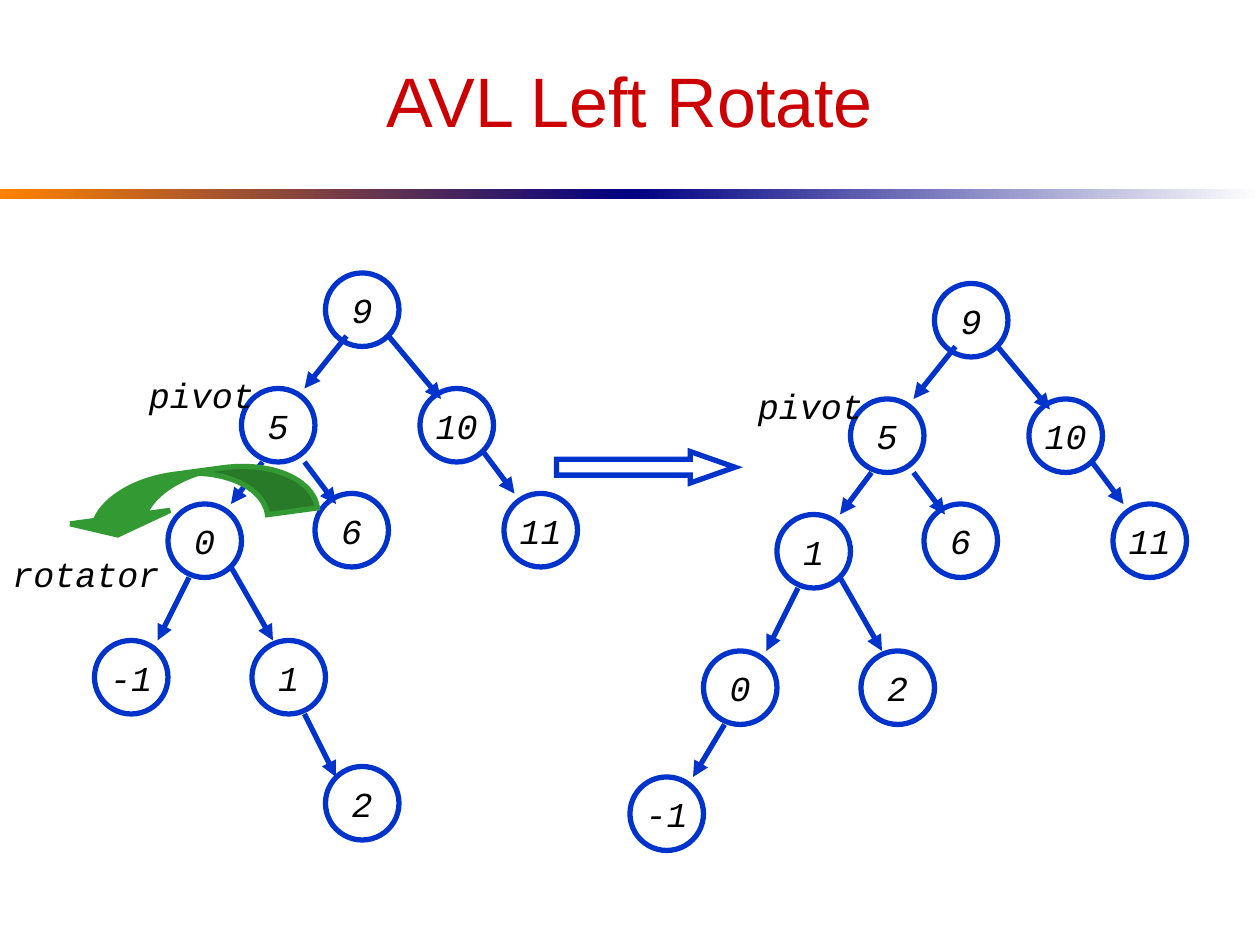
from dataclasses import dataclass

from pptx import Presentation
from pptx.dml.color import RGBColor as Rgb
from pptx.enum.shapes import MSO_CONNECTOR as Connector, MSO_SHAPE as Preset
from pptx.enum.text import MSO_ANCHOR as Anchor, MSO_AUTO_SIZE as AutoSize, PP_ALIGN as Align
from pptx.oxml.ns import qn
from pptx.shapes.autoshape import Shape
from pptx.shapes.shapetree import SlideShapes
from pptx.text.text import TextFrame
from pptx.util import Cm, Length, Pt

UNIT_CM = 2.54 / 12
NODE_SIZE = 7


@dataclass(frozen=True)
class Theme:
    title: Rgb = Rgb(0xCC, 0x00, 0x00)
    ink: Rgb = Rgb(0x00, 0x00, 0x00)
    paper: Rgb = Rgb(0xFF, 0xFF, 0xFF)
    blue: Rgb = Rgb(0x00, 0x33, 0xCC)
    green: Rgb = Rgb(0x33, 0x99, 0x33)
    orange: Rgb = Rgb(0xFF, 0x82, 0x00)
    navy: Rgb = Rgb(0x00, 0x00, 0x82)
    title_font: str = "Arial"
    node_font: str = "Courier New"
    title_size: Length = Pt(40)
    node_size: Length = Pt(20)
    stroke: Length = Pt(3)


@dataclass(frozen=True)
class Node:
    value: str
    left: float
    top: float


@dataclass(frozen=True)
class Edge:
    start: tuple[float, float]
    end: tuple[float, float]


@dataclass(frozen=True)
class Tree:
    origin: tuple[float, float]
    subtree: tuple[str, str, str]
    leaf: Node
    leaf_edge: Edge


THEME = Theme()

SHARED_NODES = (
    Node("9", 31, 26),
    Node("5", 23, 37),
    Node("10", 40, 37),
    Node("11", 48, 47),
    Node("6", 30, 47),
)
SUBTREE_SPOTS = ((16, 48), (9, 61), (24, 61))
SHARED_EDGES = (
    Edge((33, 32), (29, 37)),
    Edge((37, 32), (42, 38)),
    Edge((46, 43), (49, 47)),
    Edge((25, 44), (22, 48)),
    Edge((29, 44), (32, 48)),
    Edge((18, 55), (15, 61)),
    Edge((22, 54), (26, 61)),
)
TREES = (
    Tree((0, 0), ("0", "-1", "1"), Node("2", 31, 73), Edge((29, 68), (32, 74))),
    Tree((58, 1), ("1", "0", "2"), Node("-1", 2, 73), Edge((11, 68), (8, 73))),
)


def grid(units: float) -> Length:
    return Cm(units * UNIT_CM)


def write(frame: TextFrame, text: str, font: str, size: Length, color: Rgb,
          align: Align, italic: bool) -> None:
    para = frame.paragraphs[0]
    para.alignment = align
    span = para.add_run()
    span.text = text
    span.font.name = font
    span.font.size = size
    span.font.italic = italic
    span.font.color.rgb = color


def add_preset(shapes: SlideShapes, preset: Preset, left: float, top: float,
               width: float, height: float) -> Shape:
    box = shapes.add_shape(preset, grid(left), grid(top), grid(width), grid(height))
    box.shadow.inherit = False
    return box


def paint(box: Shape, fill: Rgb, line: Rgb) -> None:
    box.fill.solid()
    box.fill.fore_color.rgb = fill
    box.line.color.rgb = line
    box.line.width = THEME.stroke
    outline = box.element.spPr.find(qn("a:ln"))
    outline.append(outline.makeelement(qn("a:miter"), {"lim": "800000"}))


def add_band(shapes: SlideShapes, left: float, start: Rgb, end: Rgb) -> None:
    band = add_preset(shapes, Preset.RECTANGLE, left, 18, 60, 1)
    band.line.fill.background()
    band.fill.gradient()
    band.fill.gradient_angle = 0
    for stop, color in zip(band.fill.gradient_stops, (start, end)):
        stop.color.rgb = color


def add_title(shapes: SlideShapes, text: str) -> None:
    frame = shapes.add_textbox(grid(6), grid(3), grid(108), grid(13)).text_frame
    frame.word_wrap = True
    frame.vertical_anchor = Anchor.MIDDLE
    write(frame, text, THEME.title_font, THEME.title_size, THEME.title, Align.CENTER, False)


def add_label(shapes: SlideShapes, text: str, left: float, top: float, width: Length) -> None:
    frame = shapes.add_textbox(grid(left), grid(top), width, Cm(1.11)).text_frame
    frame.word_wrap = False
    frame.auto_size = AutoSize.SHAPE_TO_FIT_TEXT
    write(frame, text, THEME.node_font, THEME.node_size, THEME.ink, Align.LEFT, True)


def add_node(shapes: SlideShapes, node: Node, origin: tuple[float, float]) -> None:
    circle = add_preset(shapes, Preset.OVAL, origin[0] + node.left, origin[1] + node.top,
                        NODE_SIZE, NODE_SIZE)
    paint(circle, THEME.paper, THEME.blue)
    frame = circle.text_frame
    frame.word_wrap = False
    frame.vertical_anchor = Anchor.MIDDLE
    write(frame, node.value, THEME.node_font, THEME.node_size, THEME.ink, Align.CENTER, True)


def add_edge(shapes: SlideShapes, edge: Edge, origin: tuple[float, float]) -> None:
    ends = [grid(shift + place) for point in (edge.start, edge.end)
            for shift, place in zip(origin, point)]
    arrow = shapes.add_connector(Connector.STRAIGHT, *ends)
    arrow.line.color.rgb = THEME.blue
    arrow.line.width = THEME.stroke
    properties = arrow.element.spPr
    outline = properties.find(qn("a:ln"))
    outline.append(outline.makeelement(qn("a:tailEnd"), {"type": "triangle"}))
    properties.append(properties.makeelement(qn("a:effectLst"), {}))


def add_tree(shapes: SlideShapes, tree: Tree) -> None:
    subtree = [Node(value, *spot) for value, spot in zip(tree.subtree, SUBTREE_SPOTS)]
    for node in (*SHARED_NODES, *subtree, tree.leaf):
        add_node(shapes, node, tree.origin)
    for edge in (*SHARED_EDGES, tree.leaf_edge):
        add_edge(shapes, edge, tree.origin)
    add_label(shapes, "pivot", tree.origin[0] + 13, tree.origin[1] + 35, Cm(2.7))


def add_step_arrow(shapes: SlideShapes) -> None:
    arrow = add_preset(shapes, Preset.RIGHT_ARROW, 53, 43, 17, 3)
    arrow.adjustments[0] = 0.5
    arrow.adjustments[1] = 1.42
    paint(arrow, THEME.paper, THEME.blue)


def add_rotation_arrow(shapes: SlideShapes) -> None:
    arrow = add_preset(shapes, Preset.CURVED_UP_ARROW, 6, 45, 24, 5)
    for index, value in enumerate((0.96, 1.92, 0.33)):
        arrow.adjustments[index] = value
    arrow.rotation = 172.3
    paint(arrow, THEME.green, THEME.green)


def main() -> None:
    deck = Presentation()
    deck.slide_width = Cm(25.4)
    deck.slide_height = Cm(19.05)
    page = deck.slides.add_slide(deck.slide_layouts[6])
    shapes = page.shapes
    add_band(shapes, 0, THEME.orange, THEME.navy)
    add_band(shapes, 60, THEME.navy, THEME.paper)
    add_title(shapes, "AVL Left Rotate")
    for tree in TREES:
        add_tree(shapes, tree)
    add_label(shapes, "rotator", 0, 52, Cm(3.5))
    add_step_arrow(shapes)
    add_rotation_arrow(shapes)
    deck.save("out.pptx")


if __name__ == "__main__":
    main()
